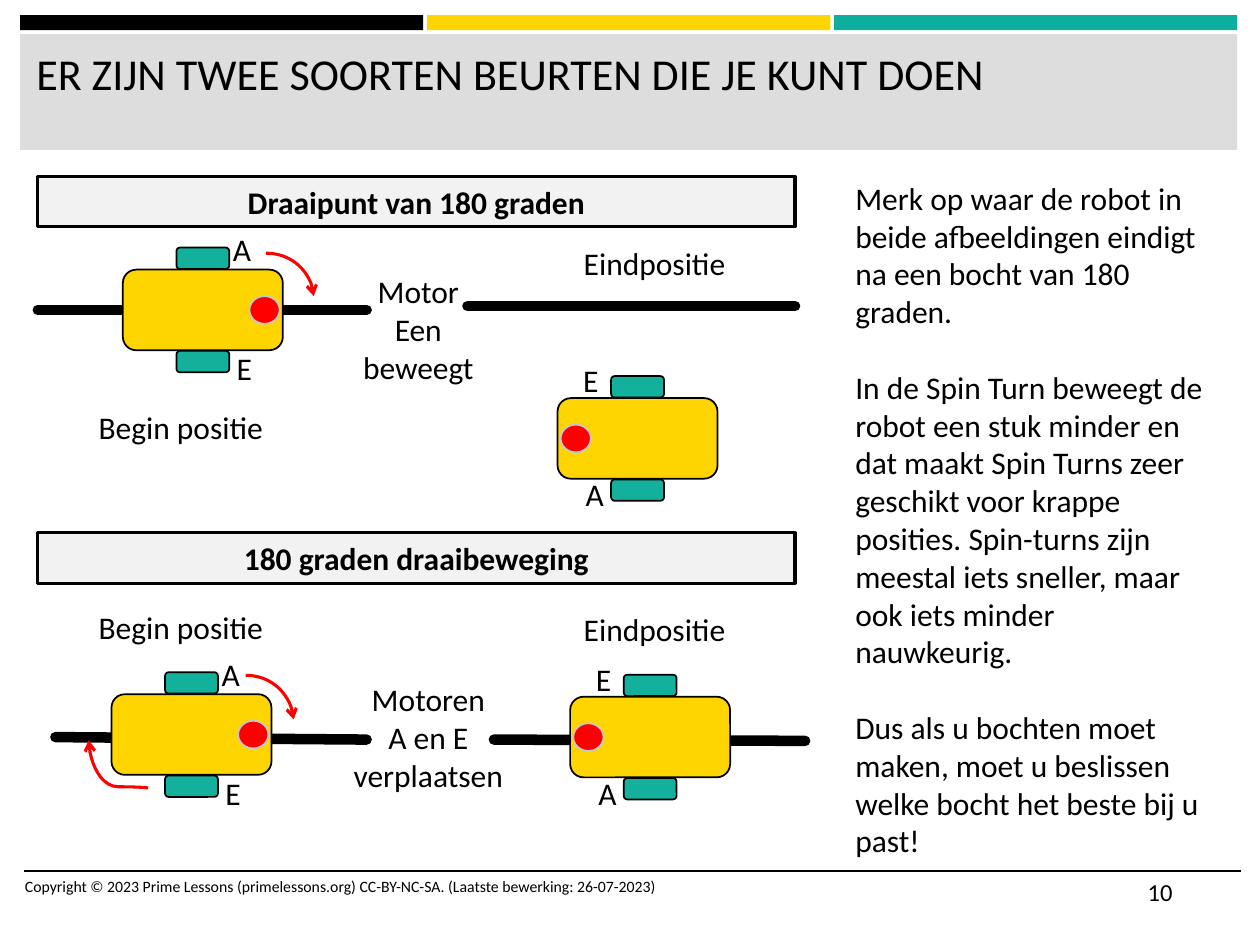
"""Build the slide that compares a pivot turn with a spin turn."""
import pptx
import pptx.util
import pptx.dml.color
import pptx.enum.shapes
import pptx.enum.text
import pptx.oxml.ns
import pptx.oxml.xmlchemy

Inches = pptx.util.Inches
Pt = pptx.util.Pt
Shape = pptx.enum.shapes.MSO_SHAPE
Connector = pptx.enum.shapes.MSO_CONNECTOR
Anchor = pptx.enum.text.MSO_ANCHOR
Align = pptx.enum.text.PP_ALIGN

BLACK, RED, YELLOW, TEAL = "000000", "FF0000", "FFD500", "13B09B"
BAND_COLOURS = [BLACK, YELLOW, "0EAE9F"]
TITLE = "ER ZIJN TWEE SOORTEN BEURTEN DIE JE KUNT DOEN"
COPYRIGHT = "Copyright © 2023 Prime Lessons (primelessons.org) CC-BY-NC-SA. (Laatste bewerking: 26-07-2023)"
EXPLANATION = [
    "Merk op waar de robot in beide afbeeldingen eindigt na een bocht van 180 graden.",
    "In de Spin Turn beweegt de robot een stuk minder en dat maakt Spin Turns zeer geschikt "
    "voor krappe posities. Spin-turns zijn meestal iets sneller, maar ook iets minder nauwkeurig.",
    "Dus als u bochten moet maken, moet u beslissen welke bocht het beste bij u past!",
]
HEADINGS = [("Draaipunt van 180 graden", 1.4), ("180 graden draaibeweging", 4.23)]
CAPTIONS = [
    (["Begin positie"], 0.5, 3.19, 1.87, 0.4),
    (["Eindpositie"], 4.26, 1.89, 1.87, 0.4),
    (["Motor", "Een beweegt"], 2.59, 2.11, 1.46, 0.71),
    (["Begin positie"], 0.5, 4.78, 1.87, 0.4),
    (["Eindpositie"], 4.26, 4.79, 1.87, 0.4),
    (["Motoren", "A en E verplaatsen"], 2.67, 5.35, 1.46, 1.01),
]
TRACKS = [
    (0.3, 2.46, 2.91, 2.46),
    (3.71, 2.43, 6.31, 2.43),
    (0.44, 5.85, 2.91, 5.87),
    (3.92, 5.87, 6.39, 5.88),
]
ROBOTS = [
    (1.61, 2.46, "right"),
    (5.06, 3.48, "left"),
    (1.52, 5.83, "right"),
    (5.16, 5.85, "left"),
]
FACINGS = {
    "right": {"dot": 0.49, "labels": [("A", 0.14, -0.68), ("E", 0.17, 0.26)]},
    "left": {"dot": -0.49, "labels": [("E", -0.53, -0.66), ("A", -0.51, 0.24)]},
}
TURN_ARROWS = [(2.11, 2.01, 2.49, 2.35), (1.95, 5.36, 2.33, 5.71)]
REVERSE_ARROW = (0.75, 6.3, 1.13, 5.83)


def colour(value):
    return pptx.dml.color.RGBColor.from_string(value)


def element(tag, **attributes):
    node = pptx.oxml.xmlchemy.OxmlElement(tag)
    for name, value in attributes.items():
        node.set(name, value)
    return node


def apply(target, values):
    for name, value in values.items():
        setattr(target, name, value)


def write(box, texts, size=18, bold=False, align=Align.LEFT, anchor=Anchor.TOP, gap=0):
    frame = box.text_frame
    apply(frame, {"word_wrap": True, "vertical_anchor": anchor})
    for index, text in enumerate(texts):
        para = frame.paragraphs[0] if index == 0 else frame.add_paragraph()
        apply(para, {"alignment": align, "space_before": Pt(gap if index else 0)})
        span = para.add_run()
        span.text = text
        apply(span.font, {"name": "Calibri", "size": Pt(size), "bold": bold})
        span.font.color.rgb = colour(BLACK)


def add_text(page, texts, left, top, width, height, **style):
    box = page.shapes.add_textbox(Inches(left), Inches(top), Inches(width), Inches(height))
    write(box, texts, **style)


def add_block(page, kind, left, top, width, height, fill, line=None, weight=1):
    block = page.shapes.add_shape(kind, Inches(left), Inches(top), Inches(width), Inches(height))
    block.shadow.inherit = False
    block.fill.solid()
    block.fill.fore_color.rgb = colour(fill)
    if line:
        block.line.color.rgb = colour(line)
        block.line.width = Pt(weight)
    else:
        block.line.fill.background()
    return block


def add_centred(page, kind, x, y, width, height, fill, line):
    add_block(page, kind, x - width / 2, y - height / 2, width, height, fill, line)


def add_line(page, ends, line, weight, kind=Connector.STRAIGHT):
    link = page.shapes.add_connector(kind, *[Inches(value) for value in ends])
    link.line.color.rgb = colour(line)
    link.line.width = Pt(weight)
    link._element.spPr.append(element("a:effectLst"))
    return link


def add_curve(page, ends):
    link = add_line(page, ends, RED, 1.75, Connector.CURVE)
    link.line._get_or_add_ln().append(element("a:tailEnd", type="arrow"))
    return link._element.spPr


def add_robot(page, x, y, facing):
    add_centred(page, Shape.ROUNDED_RECTANGLE, x, y, 1.27, 0.64, YELLOW, BLACK)
    for offset in (-0.41, 0.41):
        add_centred(page, Shape.ROUNDED_RECTANGLE, x, y + offset, 0.42, 0.17, TEAL, BLACK)
    add_centred(page, Shape.OVAL, x + FACINGS[facing]["dot"], y, 0.24, 0.22, RED, "C7C7C7")
    for letter, right, down in FACINGS[facing]["labels"]:
        add_text(page, [letter], x + right, y + down, 0.51, 0.4)


def main():
    deck = pptx.Presentation()
    apply(deck, {"slide_width": Inches(10), "slide_height": Inches(7.5)})
    page = deck.slides.add_slide(deck.slide_layouts[6])

    for index, fill in enumerate(BAND_COLOURS):
        add_block(page, Shape.RECTANGLE, 0.16 + index * 3.23, 0.12, 3.2, 0.12, fill)
    add_block(page, Shape.RECTANGLE, 0.16, 0.27, 9.66, 0.92, "DDDDDD")
    add_text(page, [TITLE], 0.19, 0.32, 9.57, 0.82, size=25.2)
    add_line(page, (0.19, 6.91, 9.85, 6.91), BLACK, 1)
    add_text(page, [COPYRIGHT], 0.1, 6.91, 8.8, 0.4, size=9)
    add_text(page, ["10"], 9.01, 6.91, 0.84, 0.4, size=14)

    for text, top in HEADINGS:
        block = add_block(page, Shape.RECTANGLE, 0.3, top, 6.01, 0.4, "F2F2F2", BLACK, 1.75)
        write(block, [text], bold=True, align=Align.CENTER, anchor=Anchor.MIDDLE)
    add_text(page, EXPLANATION, 6.69, 1.37, 3.07, 4.95, gap=21.6)

    for ends in TRACKS:
        add_line(page, ends, BLACK, 6).line._get_or_add_ln().set("cap", "rnd")
    for x, y, facing in ROBOTS:
        add_robot(page, x, y, facing)
    for texts, left, top, width, height in CAPTIONS:
        add_text(page, texts, left, top, width, height, align=Align.CENTER)

    qualified = pptx.oxml.ns.qn
    for ends in TURN_ARROWS:
        add_curve(page, ends).find(qualified("a:prstGeom")).set("prst", "curvedConnector2")
    properties = add_curve(page, REVERSE_ARROW)
    properties.find(qualified("a:xfrm")).set("rot", str(270 * 60000))
    guides = properties.find(".//" + qualified("a:avLst"))
    guides.append(element("a:gd", name="adj1", fmla="val 2800"))

    deck.save("out.pptx")


if __name__ == "__main__":
    main()
